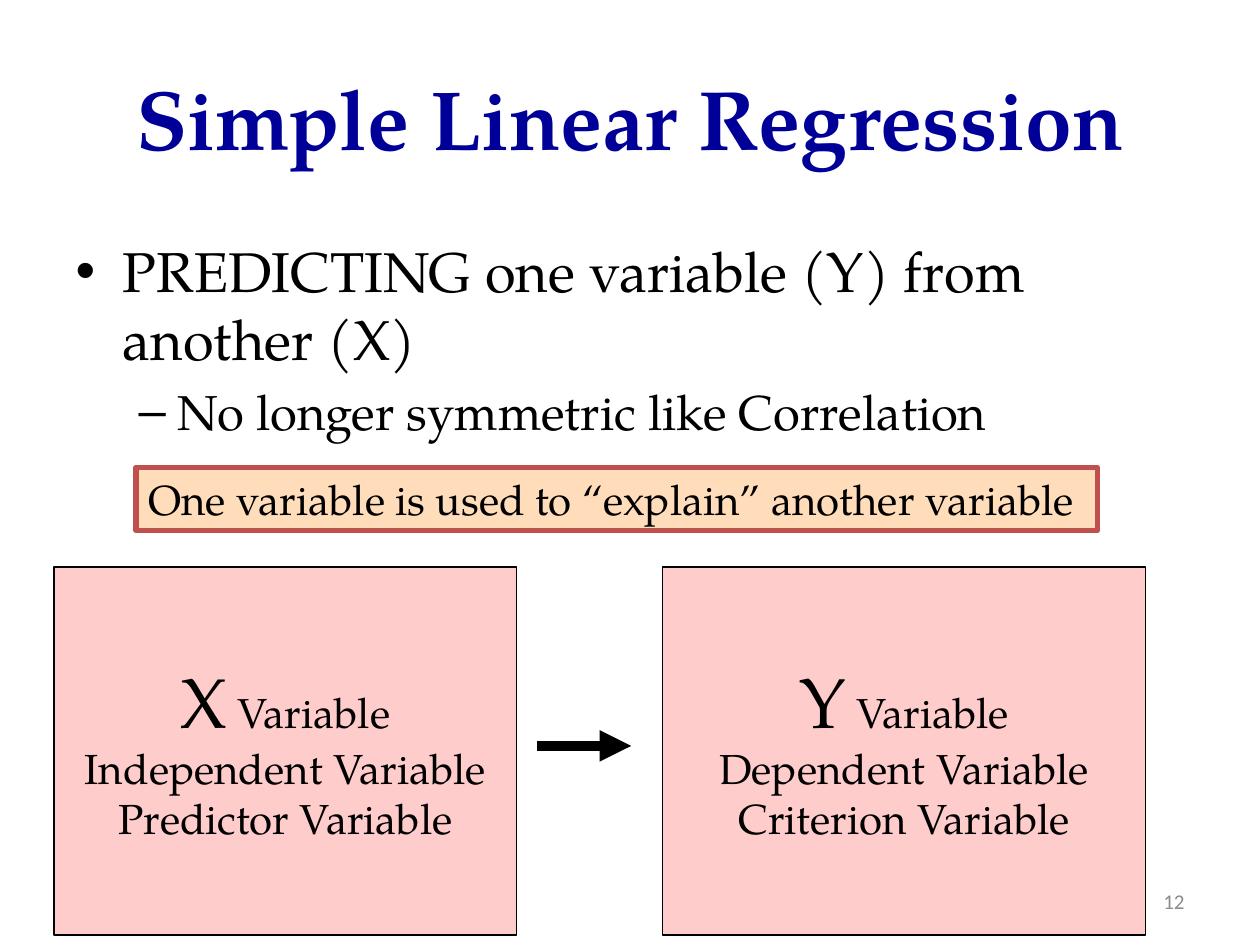
import dataclasses
import typing

import pptx
import pptx.dml.color
import pptx.enum.shapes
import pptx.enum.text
import pptx.oxml.ns
import pptx.util
from lxml import etree

RGBColor = pptx.dml.color.RGBColor
ALIGN = pptx.enum.text.PP_ALIGN
ANCHOR = pptx.enum.text.MSO_ANCHOR

NAVY = RGBColor(0x00, 0x00, 0x99)
BLACK = RGBColor(0x00, 0x00, 0x00)
GREY = RGBColor(0x8C, 0x8C, 0x8C)
PEACH = RGBColor(0xFF, 0xDD, 0xBB)
BRICK = RGBColor(0xC0, 0x50, 0x4D)
PINK = RGBColor(0xFF, 0xCC, 0xCC)

SERIF = "TeX Gyre Pagella"
SANS = "Calibri"
COLS, ROWS = 100, 75
WIDTH, HEIGHT = pptx.util.Inches(10), pptx.util.Inches(7.5)


class Area(typing.NamedTuple):
    col: float
    row: float
    cols: float
    rows: float


class Span(typing.NamedTuple):
    text: str
    size: float
    color: RGBColor = BLACK
    font: str = SERIF
    bold: bool = False


@dataclasses.dataclass
class Panel:
    area: Area
    lines: list[list[Span]]
    fill: RGBColor
    line: RGBColor
    weight: float
    align: ALIGN = ALIGN.CENTER
    anchor: ANCHOR = ANCHOR.MIDDLE


def x(col: float) -> int:
    return round(WIDTH * col / COLS)


def y(row: float) -> int:
    return round(HEIGHT * row / ROWS)


def box(area: Area) -> tuple[int, int, int, int]:
    return x(area.col), y(area.row), x(area.cols), y(area.rows)


def apply(obj: typing.Any, values: dict[str, typing.Any]) -> None:
    for name, value in values.items():
        setattr(obj, name, value)


def place(sp: typing.Any, area: Area) -> None:
    apply(sp, dict(zip(("left", "top", "width", "height"), box(area))))


def write(tf: typing.Any, lines: list[list[Span]], **paragraph: typing.Any) -> None:
    for i, spans in enumerate(lines):
        p = tf.add_paragraph() if i else tf.paragraphs[0]
        apply(p, paragraph)
        for span in spans:
            r = p.add_run()
            r.text = span.text
            apply(r.font, {"name": span.font, "size": pptx.util.Pt(span.size), "bold": span.bold})
            r.font.color.rgb = span.color


def draw_panel(s: typing.Any, panel: Panel) -> None:
    sp = s.shapes.add_shape(pptx.enum.shapes.MSO_SHAPE.RECTANGLE, *box(panel.area))
    sp.shadow.inherit = False
    sp.fill.solid()
    sp.fill.fore_color.rgb = panel.fill
    sp.line.color.rgb = panel.line
    sp.line.width = pptx.util.Pt(panel.weight)
    apply(sp.text_frame, {"word_wrap": False, "vertical_anchor": panel.anchor})
    write(sp.text_frame, panel.lines, alignment=panel.align)


def draw_arrow(s: typing.Any, start: float, end: float, row: float) -> None:
    straight = pptx.enum.shapes.MSO_CONNECTOR.STRAIGHT
    sp = s.shapes.add_connector(straight, x(start), y(row), x(end), y(row))
    sp.line.color.rgb = BLACK
    sp.line.width = pptx.util.Pt(6)
    qn = pptx.oxml.ns.qn
    etree.SubElement(sp.line._get_or_add_ln(), qn("a:tailEnd"), type="triangle")
    etree.SubElement(sp._element.spPr, qn("a:effectLst"))


def variable_panel(area: Area, letter: str, names: list[str]) -> Panel:
    heading = [Span(letter, 40), Span(" Variable", 24)]
    lines = [heading] + [[Span(f"{name} Variable", 24)] for name in names]
    return Panel(area, lines, PINK, BLACK, 0.75)


def main() -> None:
    prs = pptx.Presentation()
    apply(prs, {"slide_width": WIDTH, "slide_height": HEIGHT})
    s = prs.slides.add_slide(prs.slide_layouts[1])

    title, body = s.placeholders
    place(title, Area(5, 3, 90, 12.5))
    title.text_frame.vertical_anchor = ANCHOR.MIDDLE
    write(title.text_frame, [[Span("Simple Linear Regression", 48, NAVY, bold=True)]],
          alignment=ALIGN.CENTER)

    place(body, Area(5, 18.3, 90, 49.5))
    write(body.text_frame, [
        [Span("PREDICTING one variable (Y) from another (X)", 32)],
        [Span("No longer symmetric like Correlation", 28)],
    ])
    body.text_frame.paragraphs[1].level = 1

    panels = [
        Panel(Area(10.8, 37.1, 76.3, 5),
              [[Span("One variable is used to “explain” another variable", 24)]],
              PEACH, BRICK, 3, ALIGN.LEFT, ANCHOR.TOP),
        variable_panel(Area(4.3, 45, 36.7, 29.2), "X", ["Independent", "Predictor"]),
        variable_panel(Area(52.6, 45, 38.3, 29.2), "Y", ["Dependent", "Criterion"]),
    ]
    for panel in panels:
        draw_panel(s, panel)
    draw_arrow(s, 42.6, 50.1, 59.2)

    number = s.shapes.add_textbox(*box(Area(71.7, 69.5, 23.3, 4)))
    apply(number.text_frame, {"word_wrap": True, "vertical_anchor": ANCHOR.MIDDLE})
    write(number.text_frame, [[Span("12", 12, GREY, SANS)]], alignment=ALIGN.RIGHT)

    prs.save("out.pptx")


if __name__ == "__main__":
    main()
